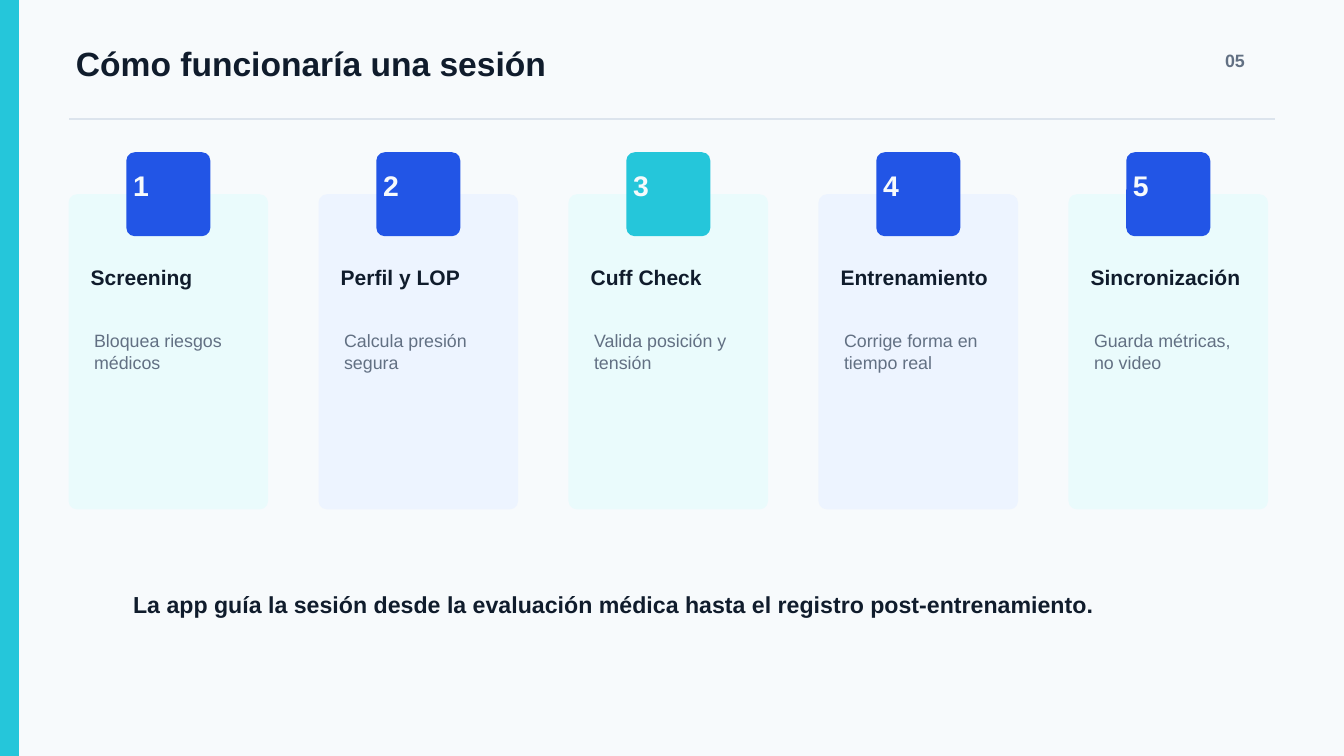
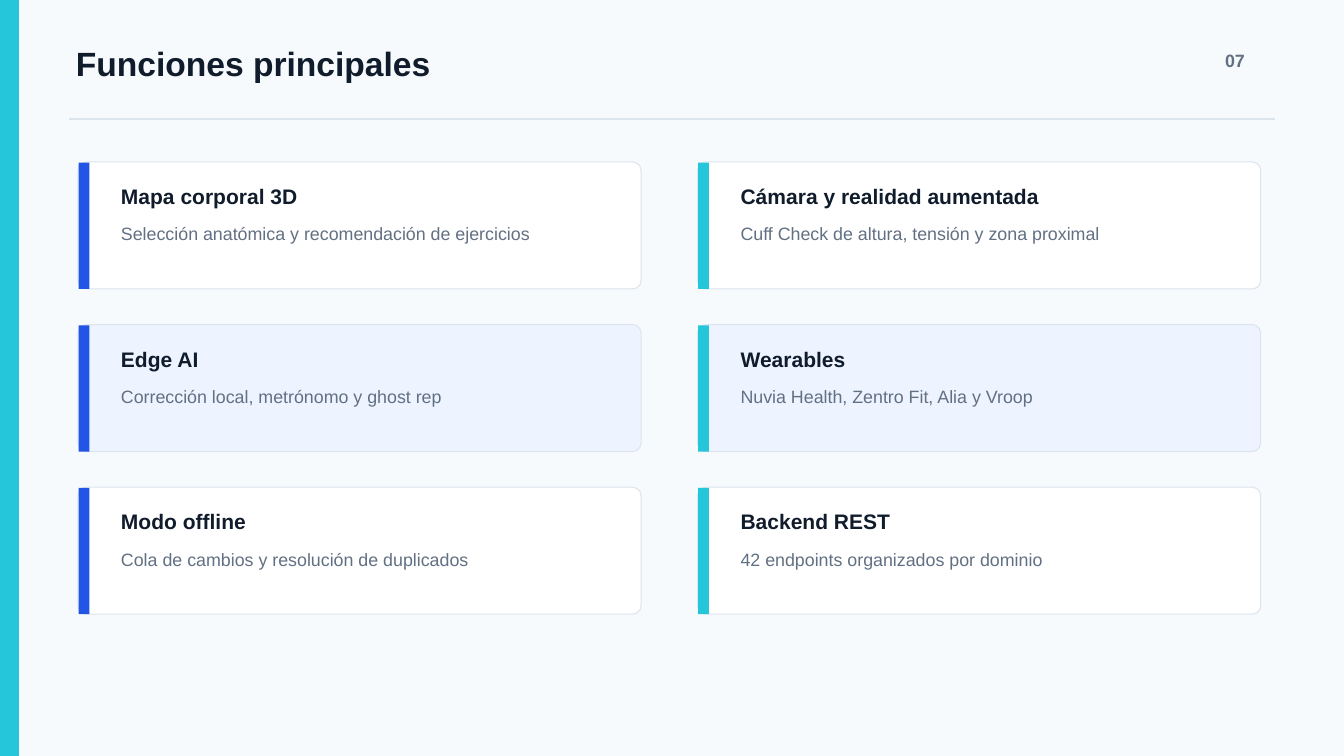
"""Build two slides: the steps of a training session and the main functions of the app."""
import pptx
import pptx.dml.color
import pptx.enum.shapes
import pptx.enum.text
import pptx.util
from lxml import etree

RGBColor = pptx.dml.color.RGBColor
Inches = pptx.util.Inches
Pt = pptx.util.Pt
SHAPES = pptx.enum.shapes.MSO_SHAPE

BACKGROUND = RGBColor(0xF7, 0xFA, 0xFC)
INK = RGBColor(0x10, 0x1C, 0x2C)
GRAY = RGBColor(0x62, 0x70, 0x83)
RULE = RGBColor(0xDC, 0xE4, 0xED)
BLUE = RGBColor(0x22, 0x55, 0xE6)
CYAN = RGBColor(0x25, 0xC6, 0xDA)
PALE_BLUE = RGBColor(0xED, 0xF4, 0xFF)
PALE_CYAN = RGBColor(0xEA, 0xFB, 0xFC)
WHITE = RGBColor(0xFF, 0xFF, 0xFF)

FONT = "Arial"
TITLE_SIZE, NUMBER_SIZE, CLOSING_SIZE, HEADING_SIZE, BODY_SIZE = 36, 30.4, 24.8, 22.5, 19.1
WIDTH, HEIGHT = 20, 11.25
MARGIN = 1.03
CORNER = 0.125

SESSION_TITLE = "Cómo funcionaría una sesión"
SESSION_STEPS = [
    ("Screening", "Bloquea riesgos médicos", BLUE),
    ("Perfil y LOP", "Calcula presión segura", BLUE),
    ("Cuff Check", "Valida posición y tensión", CYAN),
    ("Entrenamiento", "Corrige forma en tiempo real", BLUE),
    ("Sincronización", "Guarda métricas, no video", BLUE),
]
SESSION_CLOSING = ("La app guía la sesión desde la evaluación médica "
                   "hasta el registro post-entrenamiento.")
STEP_LEFT, STEP_TOP, STEP_PITCH = 1.02, 2.89, 3.72
STEP_WIDTH, STEP_HEIGHT = 2.97, 4.69
BADGE = 1.25

FUNCTIONS_TITLE = "Funciones principales"
FUNCTIONS = [
    ("Mapa corporal 3D", "Selección anatómica y recomendación de ejercicios"),
    ("Cámara y realidad aumentada", "Cuff Check de altura, tensión y zona proximal"),
    ("Edge AI", "Corrección local, metrónomo y ghost rep"),
    ("Wearables", "Nuvia Health, Zentro Fit, Alia y Vroop"),
    ("Modo offline", "Cola de cambios y resolución de duplicados"),
    ("Backend REST", "42 endpoints organizados por dominio"),
]
CARD_LEFT, CARD_TOP = 1.16, 2.41
CARD_WIDTH, CARD_HEIGHT = 8.38, 1.89
CARD_PITCH_X, CARD_PITCH_Y = 9.22, 2.42
STRIPE_WIDTH = 0.16


def add_block(slide, left, top, width, height, fill, rounded=False, outline=None):
    kind = SHAPES.ROUNDED_RECTANGLE if rounded else SHAPES.RECTANGLE
    shape = slide.shapes.add_shape(kind, Inches(left), Inches(top), Inches(width), Inches(height))
    shape.shadow.inherit = False
    if rounded:
        shape.adjustments[0] = CORNER / min(width, height)
    shape.fill.solid()
    shape.fill.fore_color.rgb = fill
    if outline is None:
        shape.line.fill.background()
    else:
        shape.line.color.rgb = outline
        shape.line.width = Pt(1.13)


def add_text(slide, left, top, width, height, text, size, color=INK, bold=True):
    box = slide.shapes.add_textbox(Inches(left), Inches(top), Inches(width), Inches(height))
    frame = box.text_frame
    frame.word_wrap = True
    frame.vertical_anchor = pptx.enum.text.MSO_ANCHOR.TOP
    frame.margin_left = frame.margin_top = frame.margin_right = frame.margin_bottom = 0
    paragraph = frame.paragraphs[0]
    paragraph.text = text
    paragraph.line_spacing = Pt(round(size * 1.2, 1))
    paragraph.font.name = FONT
    paragraph.font.size = Pt(size)
    paragraph.font.bold = bold
    paragraph.font.color.rgb = color


def add_rule(slide, y):
    rule = slide.shapes.add_connector(
        pptx.enum.shapes.MSO_CONNECTOR.STRAIGHT,
        Inches(MARGIN), Inches(y), Inches(WIDTH - MARGIN), Inches(y))
    rule.line.color.rgb = RULE
    rule.line.width = Pt(2)
    properties = rule._element.spPr
    etree.SubElement(properties, pptx.oxml.ns.qn("a:effectLst"))


def add_base_slide(presentation, title, number):
    slide = presentation.slides.add_slide(presentation.slide_layouts[6])
    slide.background.fill.solid()
    slide.background.fill.fore_color.rgb = BACKGROUND
    add_block(slide, 0, 0, 0.28, HEIGHT, CYAN)
    add_text(slide, 1.13, 0.64, 16.68, 0.84, title, TITLE_SIZE)
    add_text(slide, 18.23, 0.74, 0.74, 0.47, number, BODY_SIZE, GRAY)
    add_rule(slide, 1.77)
    return slide


def add_session_slide(presentation):
    slide = add_base_slide(presentation, SESSION_TITLE, "05")
    for index, (heading, body, badge_color) in enumerate(SESSION_STEPS):
        left = STEP_LEFT + index * STEP_PITCH
        badge_left = left + (STEP_WIDTH - BADGE) / 2
        badge_top = STEP_TOP - BADGE / 2
        add_block(slide, left, STEP_TOP, STEP_WIDTH, STEP_HEIGHT,
                  PALE_BLUE if index % 2 else PALE_CYAN, rounded=True)
        add_block(slide, badge_left, badge_top, BADGE, BADGE, badge_color, rounded=True)
        add_text(slide, badge_left + 0.1, badge_top + 0.23, 1.05, 0.7,
                 str(index + 1), NUMBER_SIZE, BACKGROUND)
        add_text(slide, left + 0.33, STEP_TOP + 1.05, 2.3, 0.62, heading, HEADING_SIZE)
        add_text(slide, left + 0.38, STEP_TOP + 2.02, 2.21, 1.32, body, BODY_SIZE, GRAY, bold=False)
    add_text(slide, 1.98, 8.79, 16.05, 0.57, SESSION_CLOSING, CLOSING_SIZE)


def add_functions_slide(presentation):
    slide = add_base_slide(presentation, FUNCTIONS_TITLE, "07")
    for index, (heading, body) in enumerate(FUNCTIONS):
        row, column = divmod(index, 2)
        left = CARD_LEFT + column * CARD_PITCH_X
        top = CARD_TOP + row * CARD_PITCH_Y
        add_block(slide, left, top, CARD_WIDTH, CARD_HEIGHT,
                  PALE_BLUE if row % 2 else WHITE, rounded=True, outline=RULE)
        add_block(slide, left + 0.01, top + 0.01, STRIPE_WIDTH, CARD_HEIGHT - 0.01,
                  CYAN if column else BLUE)
        add_text(slide, left + 0.64, top + 0.32, 6.99, 0.42, heading, HEADING_SIZE)
        add_text(slide, left + 0.64, top + 0.91, 6.91, 0.66, body, BODY_SIZE, GRAY, bold=False)


def main():
    presentation = pptx.Presentation()
    presentation.slide_width = Inches(WIDTH)
    presentation.slide_height = Inches(HEIGHT)
    add_session_slide(presentation)
    add_functions_slide(presentation)
    presentation.save("out.pptx")


if __name__ == "__main__":
    main()
